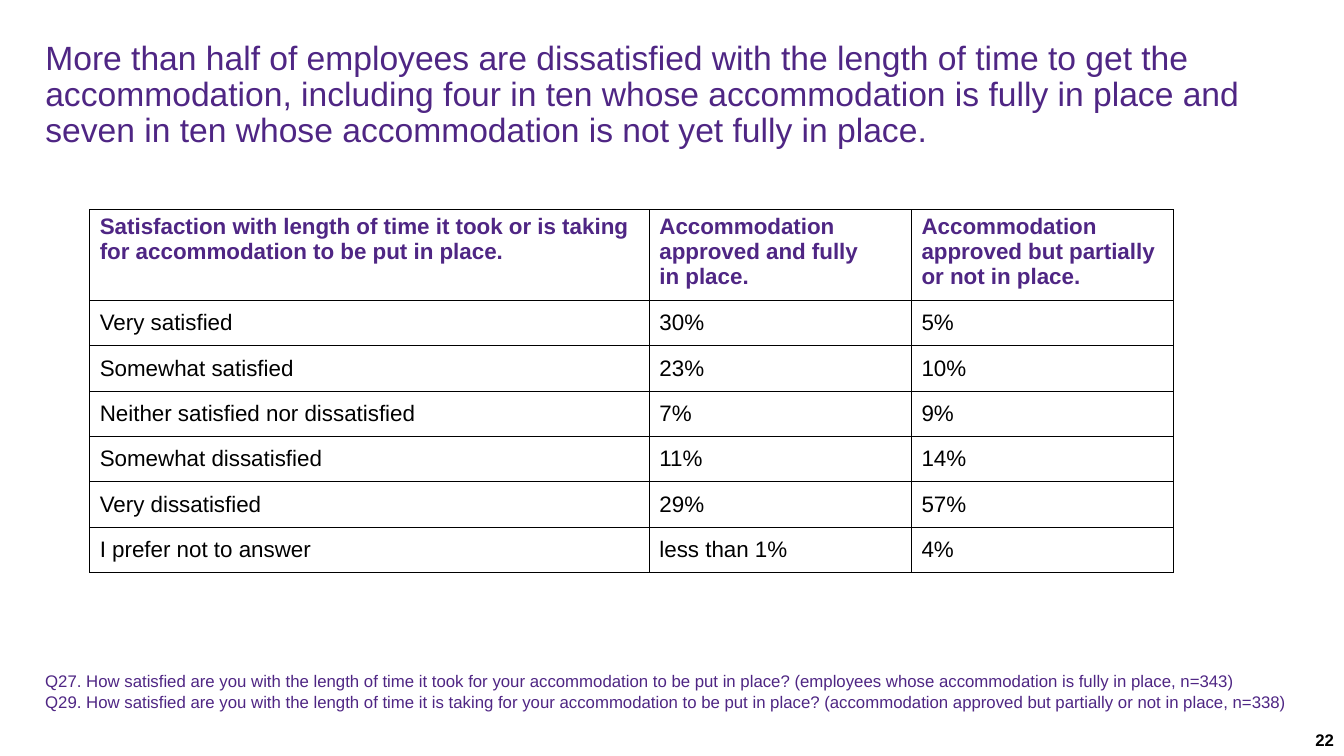
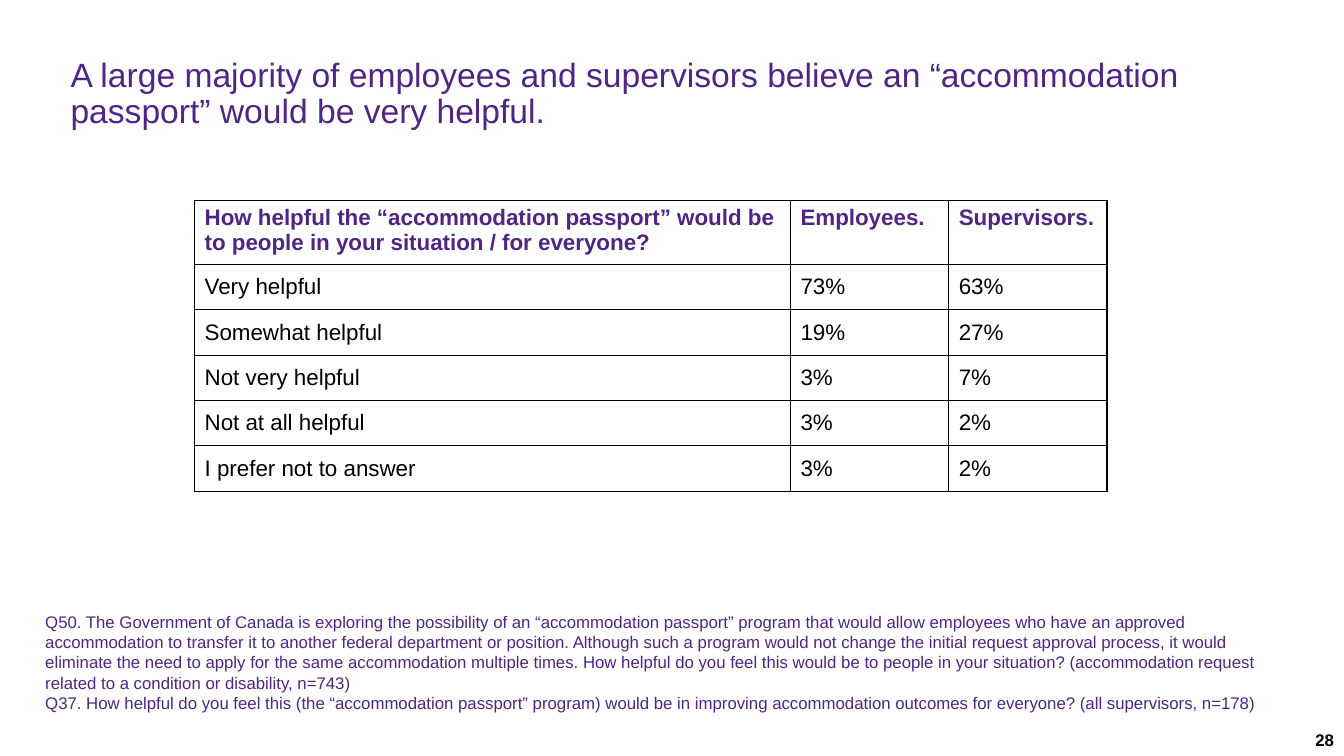
from lxml.etree import SubElement
from pptx import Presentation
from pptx.dml.color import RGBColor
from pptx.enum.text import MSO_ANCHOR as Anchor, MSO_AUTO_SIZE as AutoSize, PP_ALIGN as Align
from pptx.oxml.ns import qn
from pptx.util import Emu, Pt

PX = 9144
COLORS = {"accent": "4F2684", "ink": "000000"}
FONT = "Arial"
BODY_ROW = 45
PAGE_BOX = (1033, 718, 300, 32)

SLIDES = [
    {
        "title": "More than half of employees are dissatisfied with the length of time to get the accommodation, including four in ten whose accommodation is fully in place and seven in ten whose accommodation is not yet fully in place.",
        "title_box": (45, 39, 1253, 113),
        "table_origin": (89, 208),
        "columns": (555, 260, 260),
        "header_height": 84,
        "header_right_margins": {1: 31},
        "rows": [
            ("Satisfaction with length of time it took or is taking for accommodation to be put in place.",
             "Accommodation approved and fully in place.",
             "Accommodation approved but partially or not in place."),
            ("Very satisfied", "30%", "5%"),
            ("Somewhat satisfied", "23%", "10%"),
            ("Neither satisfied nor dissatisfied", "7%", "9%"),
            ("Somewhat dissatisfied", "11%", "14%"),
            ("Very dissatisfied", "29%", "57%"),
            ("I prefer not to answer", "less than 1%", "4%"),
        ],
        "questions": [
            "Q27. How satisfied are you with the length of time it took for your accommodation to be put in place? (employees whose accommodation is fully in place, n=343)",
            "Q29. How satisfied are you with the length of time it is taking for your accommodation to be put in place? (accommodation approved but partially or not in place, n=338)",
        ],
        "questions_box": (35, 661, 1263, 50),
        "page": "22",
    },
    {
        "title": "A large majority of employees and supervisors believe an “accommodation passport” would be very helpful.",
        "title_box": (70, 56, 1228, 77),
        "table_origin": (193, 199),
        "columns": (591, 157, 157),
        "header_height": 59,
        "header_right_margins": {},
        "rows": [
            ("How helpful the “accommodation passport” would be to people in your situation / for everyone?",
             "Employees.", "Supervisors."),
            ("Very helpful", "73%", "63%"),
            ("Somewhat helpful", "19%", "27%"),
            ("Not very helpful", "3%", "7%"),
            ("Not at all helpful", "3%", "2%"),
            ("I prefer not to answer", "3%", "2%"),
        ],
        "questions": [
            "Q50. The Government of Canada is exploring the possibility of an “accommodation passport” program that would allow employees who have an approved accommodation to transfer it to another federal department or position. Although such a program would not change the initial request approval process, it would eliminate the need to apply for the same accommodation multiple times. How helpful do you feel this would be to people in your situation? (accommodation request related to a condition or disability, n=743)",
            "Q37. How helpful do you feel this (the “accommodation passport” program) would be in improving accommodation outcomes for everyone? (all supervisors, n=178)",
        ],
        "questions_box": (35, 602, 1238, 111),
        "page": "28",
    },
]


def px(length):
    """Convert px to EMU."""
    return Emu(length * PX)


def style_paragraph(paragraph, size, color, bold=False):
    """Set the font of a whole paragraph."""
    font = paragraph.font
    font.name = FONT
    font.size = Pt(size)
    font.bold = bold
    font.color.rgb = RGBColor.from_string(COLORS[color])


def add_text(slide, box, lines, size, color, bold=False):
    """Add a wrapping text box with one paragraph per line and return its frame."""
    frame = slide.shapes.add_textbox(*map(px, box)).text_frame
    frame.word_wrap = True
    frame.text = "\n".join(lines)
    for paragraph in frame.paragraphs:
        style_paragraph(paragraph, size, color, bold)
    return frame


def add_title(slide, box, text):
    """Add the slide title in tight lines without side margins."""
    frame = add_text(slide, box, [text], 24, "accent")
    frame.auto_size = AutoSize.SHAPE_TO_FIT_TEXT
    frame.margin_left = frame.margin_right = 0
    frame.margin_top = frame.margin_bottom = px(2)
    frame.paragraphs[0].line_spacing = 0.9


def add_borders(cell):
    """Draw a thin line on every side of a cell."""
    properties = cell._tc.get_or_add_tcPr()
    for index, side in enumerate(("a:lnL", "a:lnR", "a:lnT", "a:lnB")):
        line = SubElement(properties, qn(side), w=str(Pt(1)))
        fill = SubElement(line, qn("a:solidFill"))
        SubElement(fill, qn("a:srgbClr"), val=COLORS["ink"])
        properties.insert(index, line)


def add_results(slide, origin, columns, header_height, rows, right_margins):
    """Add the results table with a bold header row."""
    heights = [header_height] + [BODY_ROW] * (len(rows) - 1)
    box = (*origin, sum(columns), sum(heights))
    table = slide.shapes.add_table(len(rows), len(columns), *map(px, box)).table
    table.first_row = table.horz_banding = False
    for column, width in zip(table.columns, columns):
        column.width = px(width)
    for row_index, (row, height, texts) in enumerate(zip(table.rows, heights, rows)):
        row.height = px(height)
        header = row_index == 0
        for cell, text in zip(row.cells, texts):
            cell.text = text
            cell.fill.background()
            cell.vertical_anchor = Anchor.TOP if header else Anchor.MIDDLE
            style_paragraph(cell.text_frame.paragraphs[0], 16, "accent" if header else "ink", header)
            add_borders(cell)
    for column_index, margin in right_margins.items():
        table.cell(0, column_index).margin_right = px(margin)


def add_questions(slide, box, questions):
    """Add the survey questions below the table."""
    frame = add_text(slide, box, questions, 12, "accent")
    frame.auto_size = AutoSize.SHAPE_TO_FIT_TEXT


def add_page_number(slide, number):
    """Add the page number in the bottom right corner."""
    frame = add_text(slide, PAGE_BOX, [number], 12, "ink", True)
    frame.vertical_anchor = Anchor.MIDDLE
    frame.paragraphs[0].alignment = Align.RIGHT


def add_survey_slide(presentation, content):
    """Add one slide of survey results."""
    slide = presentation.slides.add_slide(presentation.slide_layouts[6])
    add_title(slide, content["title_box"], content["title"])
    add_results(slide, content["table_origin"], content["columns"], content["header_height"],
                content["rows"], content["header_right_margins"])
    add_questions(slide, content["questions_box"], content["questions"])
    add_page_number(slide, content["page"])


def main():
    """Build and save the presentation."""
    presentation = Presentation()
    presentation.slide_width = px(1333)
    presentation.slide_height = px(750)
    for content in SLIDES:
        add_survey_slide(presentation, content)
    presentation.save("out.pptx")


if __name__ == "__main__":
    main()
